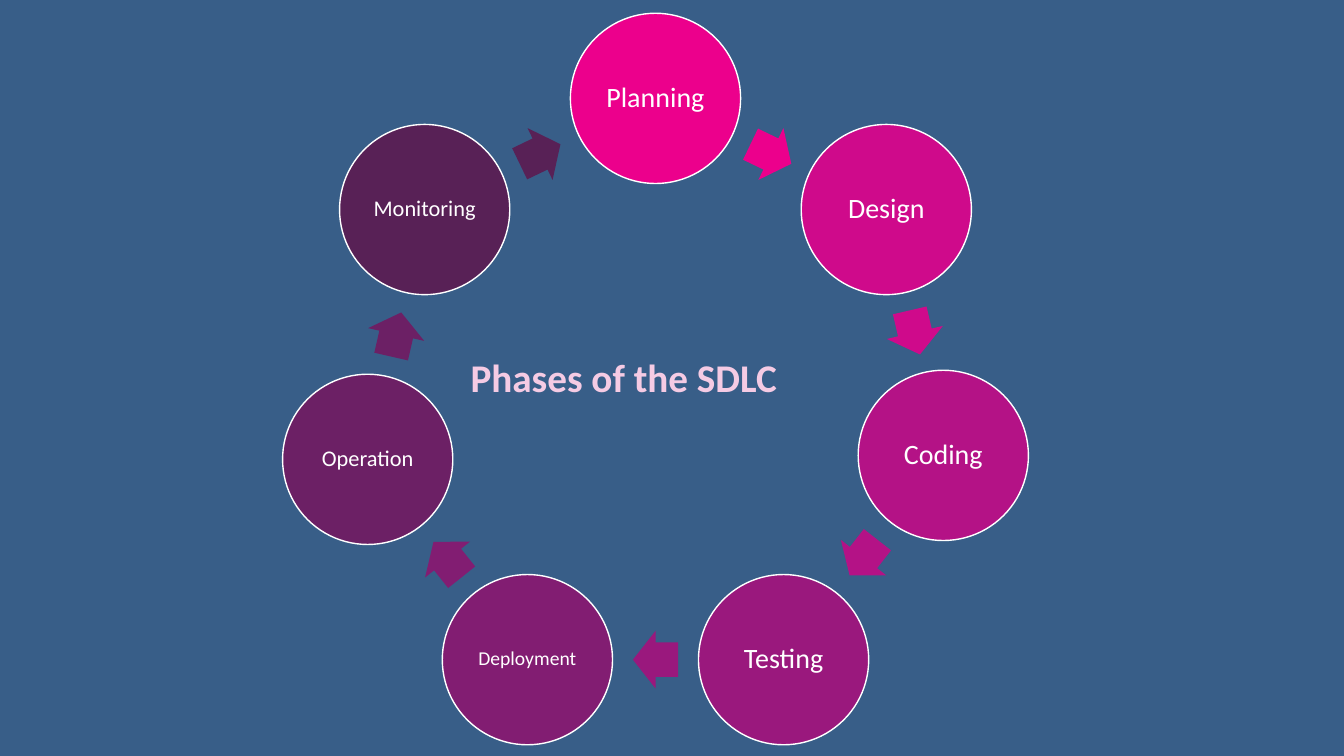
from math import atan2, cos, degrees, pi, sin

from pptx import Presentation
from pptx.dml.color import RGBColor
from pptx.enum.shapes import MSO_SHAPE
from pptx.enum.text import MSO_ANCHOR, PP_ALIGN
from pptx.util import Cm, Pt

TITLE = "Phases of the SDLC"
# phase, text size in points, lift above the ring in cm
PHASES = [
    ("Planning", 20, 0),
    ("Design", 20, 0),
    ("Coding", 20, 0.1),
    ("Testing", 20, 0),
    ("Deployment", 14, 0),
    ("Operation", 16, 0),
    ("Monitoring", 16, 0),
]
COLORS = {
    "background": "385E88",
    "title": "F5CBE4",
    "white": "FFFFFF",
    "Planning": "EC008C",
    "Design": "CF0A8B",
    "Coding": "B41286",
    "Testing": "9A187D",
    "Deployment": "821D72",
    "Operation": "6C2065",
    "Monitoring": "582156",
}
FONT = "Calibri"
RING_X, RING_Y, RING_RADIUS = 16.52, 9.92, 7.44
CIRCLE = 4.29
ARROW_LENGTH, ARROW_WIDTH = 1.14, 1.45


def color(name):
    return RGBColor.from_string(COLORS[name])


def add_centered(slide, kind, center, width, height, fill):
    x, y = center
    shape = slide.shapes.add_shape(
        kind, Cm(x - width / 2), Cm(y - height / 2), Cm(width), Cm(height))
    shape.shadow.inherit = False
    shape.fill.solid()
    shape.fill.fore_color.rgb = color(fill)
    return shape


def style_text(paragraph, size, color_name, bold=False):
    font = paragraph.runs[0].font
    font.name, font.size, font.bold = FONT, Pt(size), bold
    font.color.rgb = color(color_name)


def add_phase(slide, phase, size, center):
    circle = add_centered(slide, MSO_SHAPE.OVAL, center, CIRCLE, CIRCLE, phase)
    circle.line.color.rgb = color("white")
    circle.line.width = Pt(1)
    frame = circle.text_frame
    frame.margin_left = frame.margin_right = Cm(0.05)
    frame.margin_top = frame.margin_bottom = Cm(0.05)
    frame.word_wrap = True
    frame.vertical_anchor = MSO_ANCHOR.MIDDLE
    frame.text = phase
    label = frame.paragraphs[0]
    label.alignment = PP_ALIGN.CENTER
    label.line_spacing = 0.9
    style_text(label, size, "white")


def add_arrow(slide, phase, start, end):
    """Put an arrow halfway between two circles, turned along their chord."""
    (x1, y1), (x2, y2) = start, end
    middle = ((x1 + x2) / 2, (y1 + y2) / 2)
    arrow = add_centered(slide, MSO_SHAPE.RIGHT_ARROW, middle,
                         ARROW_LENGTH, ARROW_WIDTH, phase)
    arrow.line.fill.background()
    arrow.adjustments[0], arrow.adjustments[1] = 0.6, 0.5
    arrow.rotation = degrees(atan2(y2 - y1, x2 - x1)) % 360


def add_title(slide):
    title = slide.shapes.add_textbox(Cm(11.61), Cm(8.79), Cm(16.92), Cm(1.45))
    title.text_frame.word_wrap = True
    title.text_frame.text = TITLE
    style_text(title.text_frame.paragraphs[0], 28, "title", bold=True)


def main():
    deck = Presentation()
    deck.slide_width, deck.slide_height = Cm(33.87), Cm(19.05)
    slide = deck.slides.add_slide(deck.slide_layouts[6])
    slide.background.fill.solid()
    slide.background.fill.fore_color.rgb = color("background")

    step = 2 * pi / len(PHASES)
    centers = [(RING_X + RING_RADIUS * sin(i * step),
                RING_Y - RING_RADIUS * cos(i * step) - lift)
               for i, (_, _, lift) in enumerate(PHASES)]
    next_centers = centers[1:] + centers[:1]
    for (phase, size, _), center, following in zip(PHASES, centers, next_centers):
        add_phase(slide, phase, size, center)
        add_arrow(slide, phase, center, following)
    add_title(slide)
    deck.save("out.pptx")


if __name__ == "__main__":
    main()
